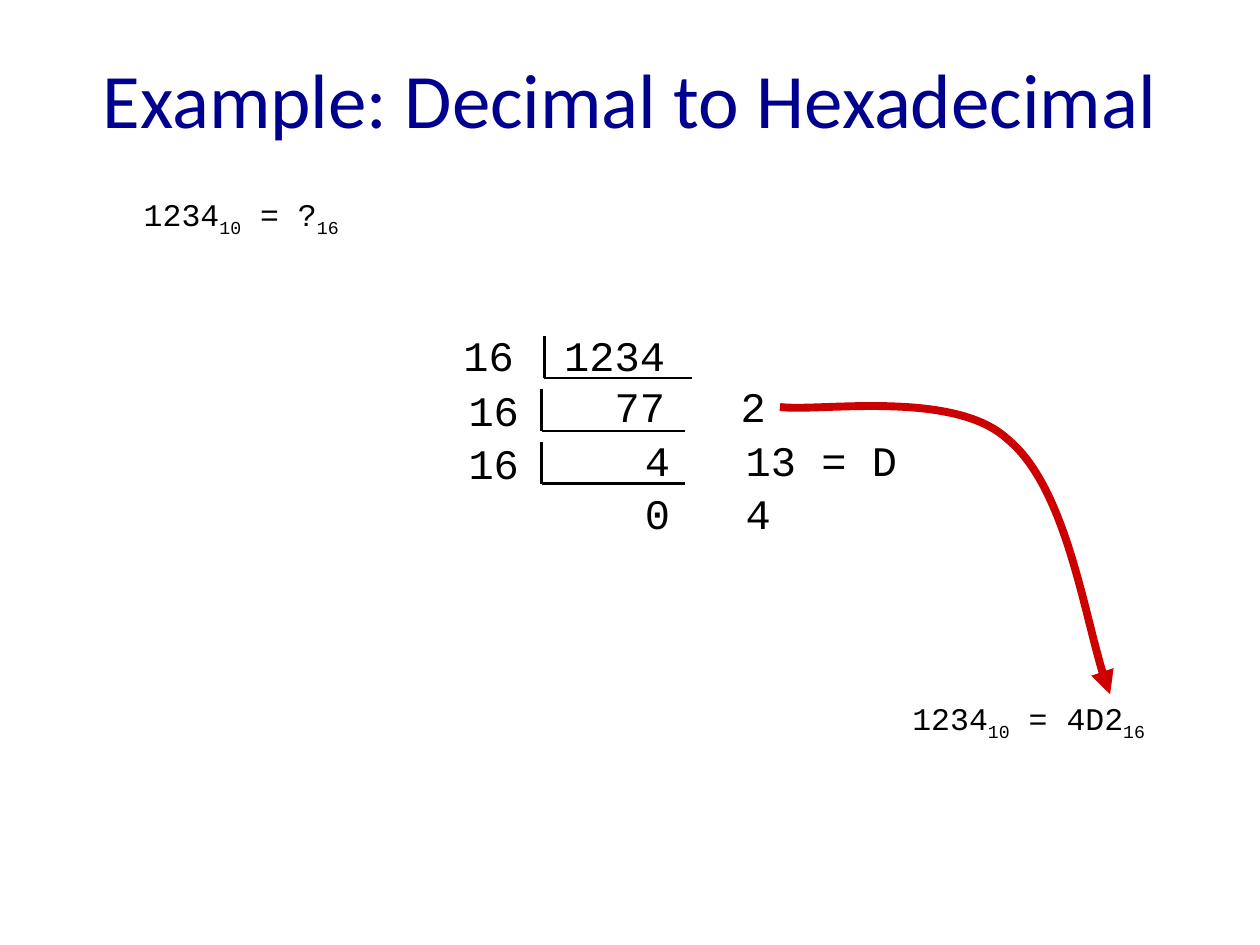
from dataclasses import dataclass

from lxml import etree
from pptx import Presentation
from pptx.dml.color import RGBColor
from pptx.enum.text import MSO_ANCHOR, PP_ALIGN
from pptx.oxml.ns import qn
from pptx.util import Inches, Pt


@dataclass(frozen=True)
class Theme:
    navy: str = "000090"
    black: str = "000000"
    red: str = "CC0000"
    heading: str = "Calibri"
    mono: str = "Courier New"
    title_size: int = 44
    work_size: int = 24
    note_size: int = 18


class SlideBuilder:
    def __init__(self, s, theme):
        self.s, self.theme = s, theme

    def text(self, box, rows, size, font=None, color=None,
             align=PP_ALIGN.LEFT, anchor=MSO_ANCHOR.TOP, tabs=()):
        """Each row is a list of (text, is_subscript) pairs."""
        tf = self.s.shapes.add_textbox(*map(Inches, box)).text_frame
        tf.word_wrap, tf.vertical_anchor = True, anchor
        style = {"name": font or self.theme.mono, "size": Pt(size)}
        for i, row in enumerate(rows):
            p = tf.paragraphs[0] if i == 0 else tf.add_paragraph()
            p.alignment = align
            if tabs:
                tab_list = etree.SubElement(p._p.get_or_add_pPr(), qn("a:tabLst"))
                for pos, side in tabs:
                    etree.SubElement(tab_list, qn("a:tab"),
                                     pos=str(Inches(pos)), algn=side)
            for words, subscript in row:
                r = p.add_run()
                r.text = words
                for name, value in style.items():
                    setattr(r.font, name, value)
                r.font.color.rgb = RGBColor.from_string(color or self.theme.black)
                if subscript:
                    r.font._element.set("baseline", "-25000")

    def equation(self, left, top, right_side):
        row = [("1234", False), ("10", True), (f" = {right_side}", False), ("16", True)]
        self.text((left, top, 3.17, 0.5), [row], self.theme.note_size,
                  align=PP_ALIGN.CENTER)

    def work(self, box, rows):
        self.text(box, [[(row, False)] for row in rows], self.theme.work_size,
                  tabs=((1.6, "r"), (2.2, "l")))

    def line(self, x1, y1, x2, y2):
        c = self.s.shapes.add_connector(1, *map(Inches, (x1, y1, x2, y2)))
        c.line.color.rgb = RGBColor.from_string(self.theme.black)
        c.line.width = Pt(1.5)
        etree.SubElement(c._element.spPr, qn("a:effectLst"))

    def division_bracket(self, left, top, width):
        bottom = top + 0.33
        self.line(left, top, left, bottom)
        self.line(left, bottom, left + width, bottom)

    def curved_arrow(self, start, points):
        """Points come in threes: two controls and an end for each curve."""
        fb = self.s.shapes.build_freeform(*map(Inches, start))
        fb.add_line_segments([tuple(map(Inches, pt)) for pt in points], close=False)
        sp = fb.convert_to_shape()
        sp.shadow.inherit = False
        sp.fill.background()
        sp.line.color.rgb = RGBColor.from_string(self.theme.red)
        sp.line.width = Pt(4.5)
        etree.SubElement(sp.line._get_or_add_ln(), qn("a:tailEnd"), type="triangle")
        # Turn each three straight segments into one cubic curve
        path = sp._element.find(".//" + qn("a:path"))
        segments = path.findall(qn("a:lnTo"))
        for i in range(0, len(segments), 3):
            curve = etree.SubElement(path, qn("a:cubicBezTo"))
            for segment in segments[i:i + 3]:
                curve.append(segment[0])
                path.remove(segment)


def main():
    prs = Presentation()
    prs.slide_width, prs.slide_height = Inches(10), Inches(7.5)
    theme = Theme()
    b = SlideBuilder(prs.slides.add_slide(prs.slide_layouts[6]), theme)

    # Title
    b.text((0, 0, 10, 1.55), [[("Example: Decimal to Hexadecimal", False)]],
           theme.title_size, theme.heading, theme.navy,
           PP_ALIGN.CENTER, MSO_ANCHOR.MIDDLE)

    # Question and answer
    b.equation(0.33, 1.5, "?")
    b.equation(6.58, 5.5, "4D2")

    # Remainders are read from last to first
    b.curved_arrow((6.19, 3.23), [(6.49, 3.27), (7.56, 3.09), (7.99, 3.48),
                                  (8.45, 3.85), (8.64, 5.09), (8.81, 5.51)])

    # Repeated division by 16
    b.work((3.58, 2.57, 2.7, 0.9), ["16\t1234", "\t77\t2"])
    b.work((3.62, 3, 3.88, 0.9), ["16", "\t4\t13 = D"])
    b.work((3.62, 3.42, 3.88, 0.9), ["16", "\t0\t4"])
    b.division_bracket(4.32, 2.67, 1.17)
    for top in (3.09, 3.51):
        b.division_bracket(4.3, top, 1.14)

    prs.save("out.pptx")


if __name__ == "__main__":
    main()
